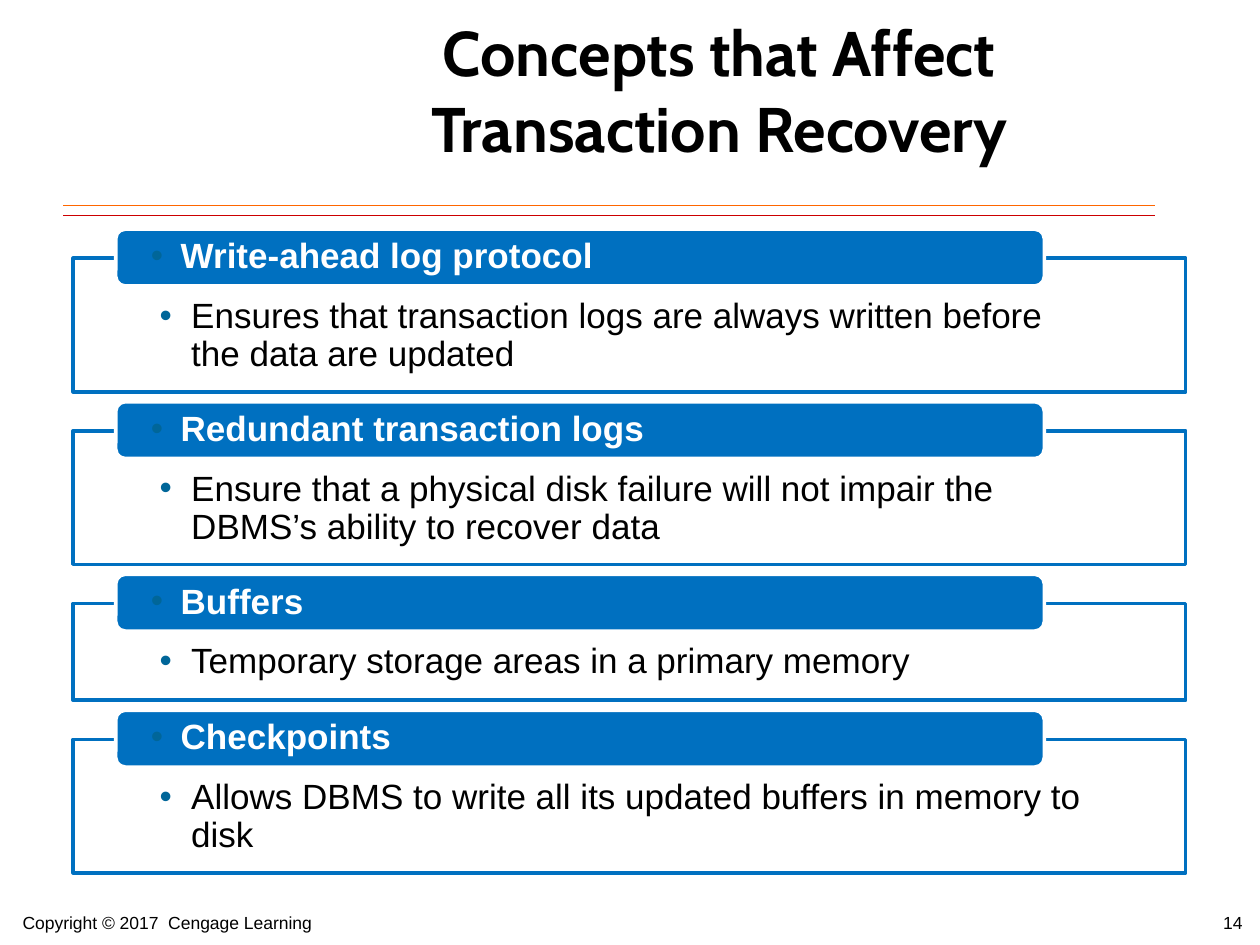
from typing import Any, NamedTuple

from lxml.etree import SubElement
from pptx import Presentation
from pptx.dml.color import RGBColor
from pptx.enum.shapes import MSO_CONNECTOR, MSO_SHAPE
from pptx.enum.text import MSO_ANCHOR, MSO_AUTO_SIZE, PP_ALIGN
from pptx.oxml.ns import qn
from pptx.util import Pt

BLACK = RGBColor(0x00, 0x00, 0x00)
WHITE = RGBColor(0xFF, 0xFF, 0xFF)
BLUE = RGBColor(0x00, 0x70, 0xC0)
TEAL = RGBColor(0x00, 0x66, 0x99)
RED = RGBColor(0xCC, 0x00, 0x00)
ORANGE = RGBColor(0xFF, 0x66, 0x00)

TOP, GAP = 147.6, 22.3
LEFT, WIDTH = 41.8, 635.8
LIFT = 16.6


class Block(NamedTuple):
    head: str
    body: str
    height: float


class Rule(NamedTuple):
    y: float
    color: RGBColor


class Note(NamedTuple):
    text: str
    x: float
    y: float
    width: float


BLOCKS = [
    Block("Write-ahead log protocol",
          "Ensures that transaction logs are always written before the data are updated", 76.3),
    Block("Redundant transaction logs",
          "Ensure that a physical disk failure will not impair the DBMS’s ability to recover data", 76.3),
    Block("Buffers", "Temporary storage areas in a primary memory", 55.4),
    Block("Checkpoints",
          "Allows DBMS to write all its updated buffers in memory to disk", 76.3),
]
RULES = [Rule(123.1, RED), Rule(117.4, ORANGE)]
NOTES = [
    Note("Copyright © 2017  Cengage Learning", 5.8, 517.7, 228),
    Note("14", 691.9, 517.7, 36),
]

HEAD_FRAME = {"margin_left": Pt(18.5), "margin_right": Pt(18.5), "margin_top": 0,
              "margin_bottom": 0, "vertical_anchor": MSO_ANCHOR.MIDDLE, "word_wrap": True}
BODY_FRAME = {"margin_left": Pt(49.5), "margin_right": Pt(49.5), "margin_top": Pt(23),
              "margin_bottom": Pt(11.5), "vertical_anchor": MSO_ANCHOR.TOP, "word_wrap": True}
TITLE_FRAME = {"vertical_anchor": MSO_ANCHOR.MIDDLE, "word_wrap": True,
               "auto_size": MSO_AUTO_SIZE.NONE}
HEAD_FONT = {"name": "Arial", "size": Pt(20), "bold": True}
BODY_FONT = {"name": "Arial", "size": Pt(20), "bold": False}
NOTE_FONT = {"name": "Arial", "size": Pt(10)}
TITLE_FONT = {"name": "Cabin", "size": Pt(36), "bold": True}


def apply(target: Any, values: dict[str, Any]) -> None:
    for name, value in values.items():
        setattr(target, name, value)


def style(font: Any, values: dict[str, Any], color: RGBColor) -> None:
    apply(font, values)
    font.color.rgb = color


def bullet(para: Any, indent: float) -> None:
    props = para._p.get_or_add_pPr()
    props.set("marL", str(Pt(indent)))
    props.set("indent", str(-Pt(indent)))
    tint = SubElement(props, qn("a:buClr"))
    SubElement(tint, qn("a:srgbClr"), val=str(TEAL))
    SubElement(props, qn("a:buFont"), typeface="Arial")
    SubElement(props, qn("a:buChar"), char="•")


def add_box(slide: Any, kind: Any, place: tuple[float, ...], text: str, fill: RGBColor,
            edge: RGBColor, frame: dict, font: dict, ink: RGBColor, indent: float) -> Any:
    box = slide.shapes.add_shape(kind, *map(Pt, place))
    box.shadow.inherit = False
    box.fill.solid()
    box.fill.fore_color.rgb = fill
    box.line.color.rgb = edge
    box.line.width = Pt(2)
    apply(box.text_frame, frame)
    para = box.text_frame.paragraphs[0]
    para.text = text
    bullet(para, indent)
    apply(para, {"alignment": PP_ALIGN.LEFT, "line_spacing": 0.9})
    style(para.runs[0].font, font, ink)
    return box


def add_block(slide: Any, block: Block, top: float) -> None:
    body = add_box(slide, MSO_SHAPE.RECTANGLE, (LEFT, top, WIDTH, block.height),
                   block.body, WHITE, BLUE, BODY_FRAME, BODY_FONT, BLACK, 18)
    tint = body._element.spPr.find(qn("a:solidFill"))[0]
    SubElement(tint, qn("a:alpha"), val="90000")
    add_box(slide, MSO_SHAPE.ROUNDED_RECTANGLE, (66.2, top - LIFT, 530.6, 32.4),
            block.head, BLUE, WHITE, HEAD_FRAME, HEAD_FONT, WHITE, 17)


def add_rule(slide: Any, rule: Rule) -> None:
    line = slide.shapes.add_connector(
        MSO_CONNECTOR.STRAIGHT, Pt(36), Pt(rule.y), Pt(660), Pt(rule.y))
    line.line.color.rgb = rule.color
    line.line.width = Pt(0.75)
    SubElement(line._element.spPr, qn("a:effectLst"))


def add_note(slide: Any, note: Note) -> None:
    box = slide.shapes.add_textbox(Pt(note.x), Pt(note.y), Pt(note.width), Pt(18))
    box.text_frame.word_wrap = True
    para = box.text_frame.paragraphs[0]
    para.text = note.text
    style(para.runs[0].font, NOTE_FONT, BLACK)


def add_title(slide: Any, text: str) -> None:
    title = slide.shapes.title
    apply(title, {"left": Pt(168), "top": Pt(6), "width": Pt(486), "height": Pt(90)})
    apply(title.text_frame, TITLE_FRAME)
    para = title.text_frame.paragraphs[0]
    para.text = text
    para.alignment = PP_ALIGN.CENTER
    style(para.runs[0].font, TITLE_FONT, BLACK)


def main() -> None:
    deck = Presentation()
    apply(deck, {"slide_width": Pt(720), "slide_height": Pt(540)})
    slide = deck.slides.add_slide(deck.slide_layouts[5])
    for rule in RULES:
        add_rule(slide, rule)
    add_title(slide, "Concepts that Affect Transaction Recovery")
    top = TOP
    for block in BLOCKS:
        add_block(slide, block, top)
        top += block.height + GAP
    for note in NOTES:
        add_note(slide, note)
    deck.save("out.pptx")


if __name__ == "__main__":
    main()
